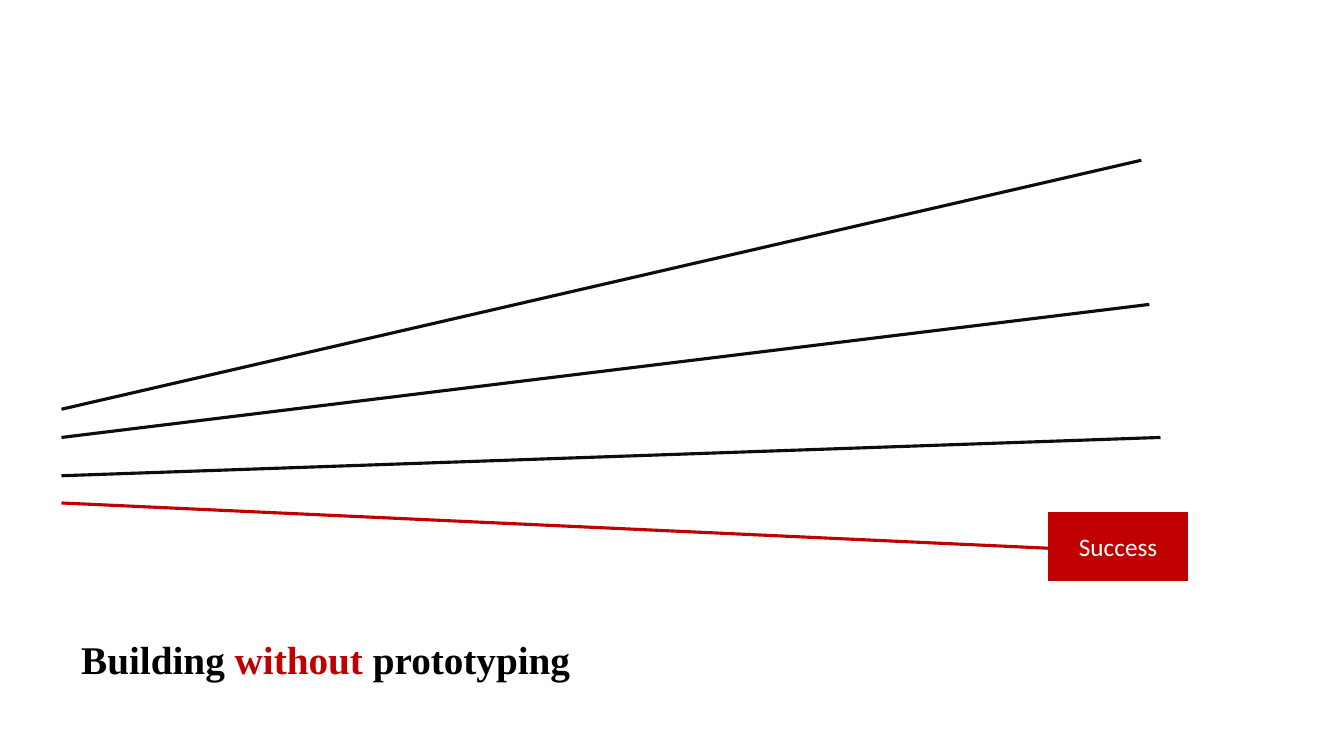
import pptx
import pptx.dml.color
import pptx.enum.shapes
import pptx.enum.text
import pptx.oxml.ns
import pptx.util
from pptx.util import Inches
import lxml.etree

BLACK, INK, RED, WHITE = "000000", "0D0D0D", "C00000", "FFFFFF"


def color(hex_string):
    return pptx.dml.color.RGBColor.from_string(hex_string)


def add_text(para, text, *, font, size, fill, bold=False):
    span = para.add_run()
    span.text = text
    span.font.name = font
    span.font.size = pptx.util.Pt(size)
    span.font.bold = bold
    span.font.color.rgb = color(fill)


def add_line(page, start, end, fill):
    line = page.shapes.add_connector(
        pptx.enum.shapes.MSO_CONNECTOR.STRAIGHT,
        *(Inches(value) for value in (*start, *end)))
    line.line.color.rgb = color(fill)
    line.line.width = pptx.util.Pt(2.25)
    lxml.etree.SubElement(line._element.spPr, pptx.oxml.ns.qn("a:effectLst"))


def add_paths(page, left, top):
    """Lines fan out from one left edge; each has a start drop, a run and a rise."""
    paths = [
        (2.47, 10.71, -2.47, INK),
        (2.75, 10.79, -1.32, INK),
        (3.13, 10.9, -0.38, INK),
        (3.4, 10.9, 0.5, RED),
    ]
    for drop, run, rise, fill in paths:
        start_y = top + drop
        add_line(page, (left, start_y), (left + run, start_y + rise), fill)


def add_caption(page, left, top, width, height):
    box = page.shapes.add_textbox(*map(Inches, (left, top, width, height)))
    box.text_frame.word_wrap = True
    box.text_frame.auto_size = pptx.enum.text.MSO_AUTO_SIZE.SHAPE_TO_FIT_TEXT
    para = box.text_frame.paragraphs[0]
    for text, fill in ((" Building ", BLACK), ("without", RED), (" prototyping", BLACK)):
        add_text(para, text, font="Times New Roman", size=28, fill=fill, bold=True)


def add_goal(page, left, top, width, height):
    box = page.shapes.add_shape(
        pptx.enum.shapes.MSO_SHAPE.RECTANGLE,
        *map(Inches, (left, top, width, height)))
    box.shadow.inherit = False
    box.fill.solid()
    box.fill.fore_color.rgb = color(RED)
    box.line.color.rgb = color(RED)
    box.line.width = pptx.util.Pt(1)
    box.text_frame.vertical_anchor = pptx.enum.text.MSO_ANCHOR.MIDDLE
    para = box.text_frame.paragraphs[0]
    para.alignment = pptx.enum.text.PP_ALIGN.CENTER
    add_text(para, "Success", font="Calibri", size=18, fill=WHITE)


def main():
    deck = pptx.Presentation()
    deck.slide_width, deck.slide_height = Inches(13.33), Inches(7.5)
    page = deck.slides.add_slide(deck.slide_layouts[6])

    # Diverging paths, caption, then the goal on top of the red path
    add_paths(page, 0.61, 1.59)
    add_caption(page, 0.61, 6.25, 10.19, 0.57)
    add_goal(page, 10.4, 5.09, 1.38, 0.67)

    deck.save("out.pptx")


if __name__ == "__main__":
    main()
